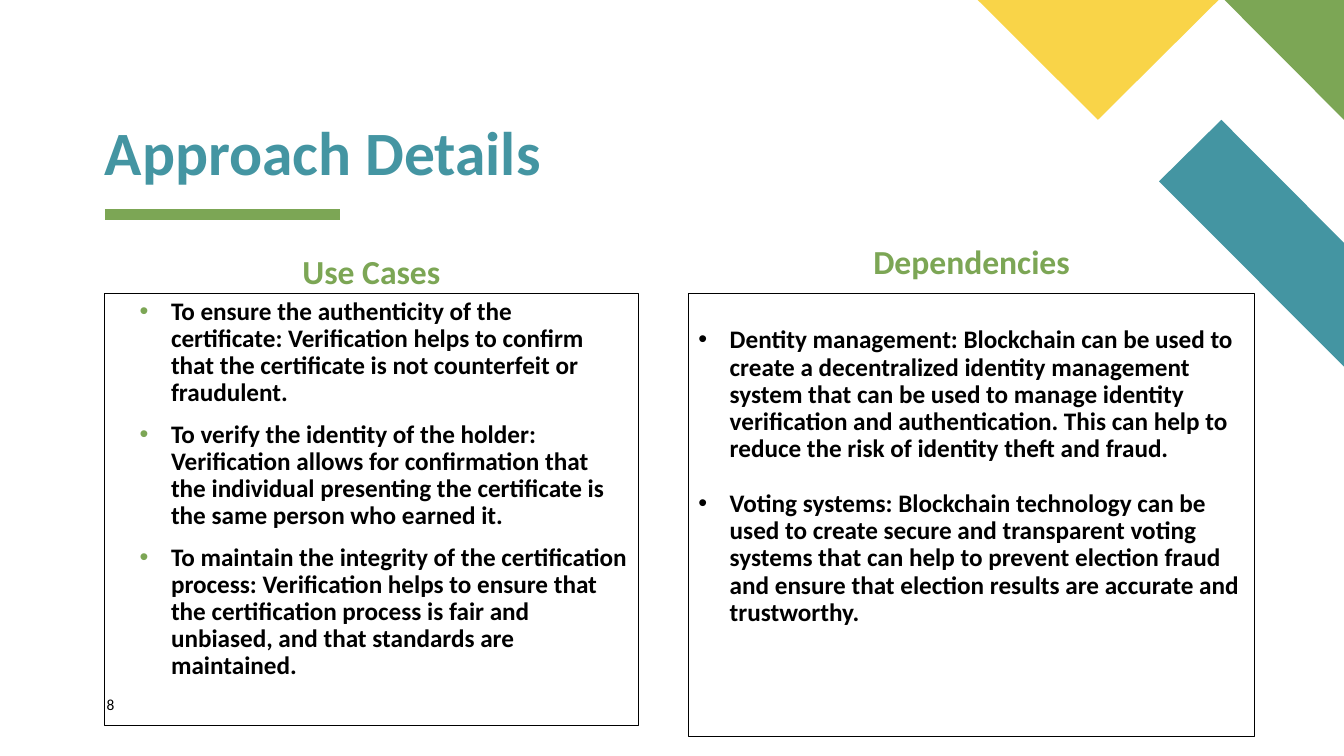
from dataclasses import dataclass

from lxml.etree import SubElement
from pptx import Presentation
from pptx.dml.color import RGBColor
from pptx.enum.shapes import MSO_CONNECTOR
from pptx.enum.text import MSO_ANCHOR, MSO_AUTO_SIZE, PP_ALIGN
from pptx.oxml.ns import qn
from pptx.util import Cm, Pt


@dataclass(frozen=True)
class Theme:
    font: str = "Calibri"
    teal: str = "4495A2"
    green: str = "7CA655"
    yellow: str = "F9D448"
    black: str = "000000"
    title_size: float = 44
    heading_size: float = 24
    body_size: float = 18
    number_size: float = 11
    line_spacing: float = 0.9


PADDING = (0.25, 0.13, 0.25, 0.13)
NO_PADDING = (0, 0, 0, 0)
LEFT, RIGHT = 2.64, 17.35
LEFT_WIDTH, RIGHT_WIDTH = 13.44, 14.27
LIST_TOP = 7.39

USE_CASES = [
    "To ensure the authenticity of the certificate: Verification helps to confirm "
    "that the certificate is not counterfeit or fraudulent.",
    "To verify the identity of the holder: Verification allows for confirmation that "
    "the individual presenting the certificate is the same person who earned it.",
    "To maintain the integrity of the certification process: Verification helps to "
    "ensure that the certification process is fair and unbiased, and that standards "
    "are maintained.",
]
DEPENDENCIES = [
    "Dentity management: Blockchain can be used to create a decentralized identity "
    "management system that can be used to manage identity verification and "
    "authentication. This can help to reduce the risk of identity theft and fraud.",
    "Voting systems: Blockchain technology can be used to create secure and "
    "transparent voting systems that can help to prevent election fraud and ensure "
    "that election results are accurate and trustworthy.",
]


class SlideBuilder:
    def __init__(self, page, theme):
        self.page = page
        self.theme = theme

    def polygon(self, points, color):
        corners = [(Cm(x), Cm(y)) for x, y in points]
        outline = self.page.shapes.build_freeform(*corners[0])
        outline.add_line_segments(corners[1:], close=True)
        shape = outline.convert_to_shape()
        shape.shadow.inherit = False
        shape.fill.solid()
        shape.fill.fore_color.rgb = RGBColor.from_string(color)
        shape.line.fill.background()

    def rule(self, left, right, top, color, weight):
        line = self.page.shapes.add_connector(
            MSO_CONNECTOR.STRAIGHT, Cm(left), Cm(top), Cm(right), Cm(top))
        line.line.color.rgb = RGBColor.from_string(color)
        line.line.width = Pt(weight)
        SubElement(line._element.spPr, qn("a:effectLst"))

    def fill_box(self, box, place, lines, size, color, bold=True,
                 align=PP_ALIGN.LEFT, anchor=MSO_ANCHOR.TOP, padding=PADDING):
        """Place a text shape, write one paragraph per line and format it."""
        box.left, box.top, box.width, box.height = map(Cm, place)
        frame = box.text_frame
        frame.text = "\n".join(lines)
        frame.word_wrap = True
        frame.auto_size = MSO_AUTO_SIZE.NONE
        frame.vertical_anchor = anchor
        (frame.margin_left, frame.margin_top,
         frame.margin_right, frame.margin_bottom) = map(Cm, padding)
        for para in frame.paragraphs:
            para.alignment = align
            para.line_spacing = self.theme.line_spacing
            para.space_before = Pt(0)
            for span in para.runs:
                span.font.name = self.theme.font
                span.font.size = Pt(size)
                span.font.bold = bold
                span.font.color.rgb = RGBColor.from_string(color)

    def title(self, text, place):
        self.fill_box(self.page.shapes.title, place, [text], self.theme.title_size,
                      self.theme.teal, anchor=MSO_ANCHOR.BOTTOM, padding=NO_PADDING)

    def heading(self, index, text, place):
        self.fill_box(self.page.placeholders[index], place, [text],
                      self.theme.heading_size, self.theme.green,
                      align=PP_ALIGN.CENTER)

    def bullet_list(self, index, items, place, indent, gap, bullet_color,
                    padding=PADDING):
        """Fill a framed list; indent is in centimetres and gap in points."""
        box = self.page.placeholders[index]
        self.fill_box(box, place, items, self.theme.body_size, self.theme.black,
                      padding=padding)
        box.line.color.rgb = RGBColor.from_string(self.theme.black)
        box.line.width = Pt(0.75)
        for position, para in enumerate(box.text_frame.paragraphs):
            para.space_before = Pt(gap if position else 0)
            properties = para._p.get_or_add_pPr()
            properties.set("marL", str(Cm(indent)))
            properties.set("indent", str(-Cm(0.79)))
            color = SubElement(properties, qn("a:buClr"))
            SubElement(color, qn("a:srgbClr"), val=bullet_color)
            SubElement(properties, qn("a:buFont"), typeface="Arial")
            SubElement(properties, qn("a:buChar"), char="•")

    def page_number(self, text, place):
        box = self.page.shapes.add_textbox(*map(Cm, place))
        self.fill_box(box, place, [text], self.theme.number_size, self.theme.black,
                      bold=False, padding=NO_PADDING)


def main():
    deck = Presentation()
    deck.slide_width, deck.slide_height = Cm(33.87), Cm(19.05)
    comparison_layout = deck.slide_layouts[4]
    theme = Theme()
    slide = SlideBuilder(deck.slides.add_slide(comparison_layout), theme)

    slide.rule(LEFT, 8.58, 5.4, theme.green, 8)
    slide.polygon([(33.87, 9.24), (33.87, 6.12), (30.78, 3.02), (29.21, 4.57)],
                  theme.teal)
    slide.polygon([(33.87, 3.02), (33.87, 0), (30.86, 0)], theme.green)
    slide.polygon([(24.64, 0), (27.67, 3.02), (30.71, 0)], theme.yellow)

    slide.title("Approach Details", (LEFT, 3.05, 16.05, 1.7))
    slide.heading(1, "Use Cases", (LEFT, 6.3, LEFT_WIDTH, 0.89))
    slide.bullet_list(2, USE_CASES, (LEFT, LIST_TOP, LEFT_WIDTH, 10.9),
                      indent=1.42, gap=10, bullet_color=theme.green)
    slide.heading(3, "Dependencies", (RIGHT, 6.05, RIGHT_WIDTH, 1.14))
    slide.bullet_list(4, DEPENDENCIES, (RIGHT, LIST_TOP, RIGHT_WIDTH, 11.18),
                      indent=0.79, gap=19.6, bullet_color=theme.black,
                      padding=(0.25, 0.85, 0.25, 0.13))
    slide.page_number("8", (2.69, 17.58, 1.45, 0.69))

    deck.save("out.pptx")


if __name__ == "__main__":
    main()
